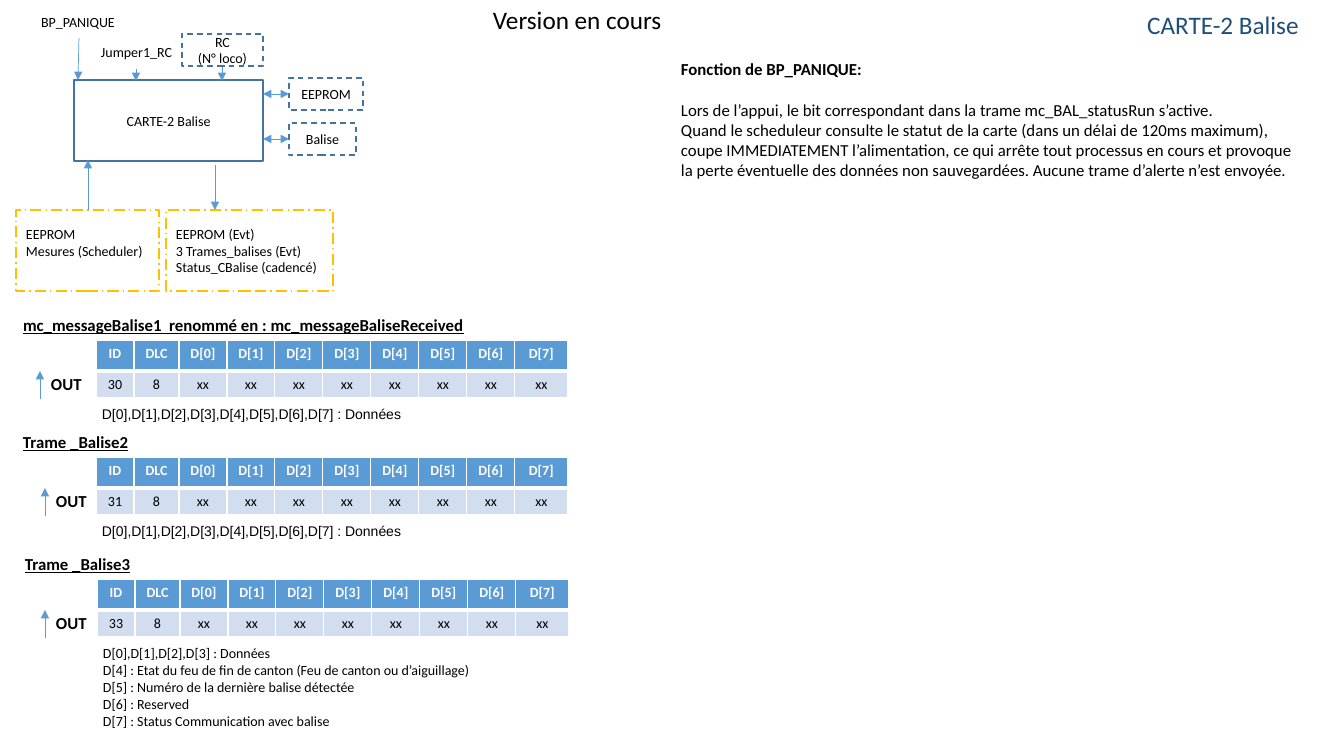
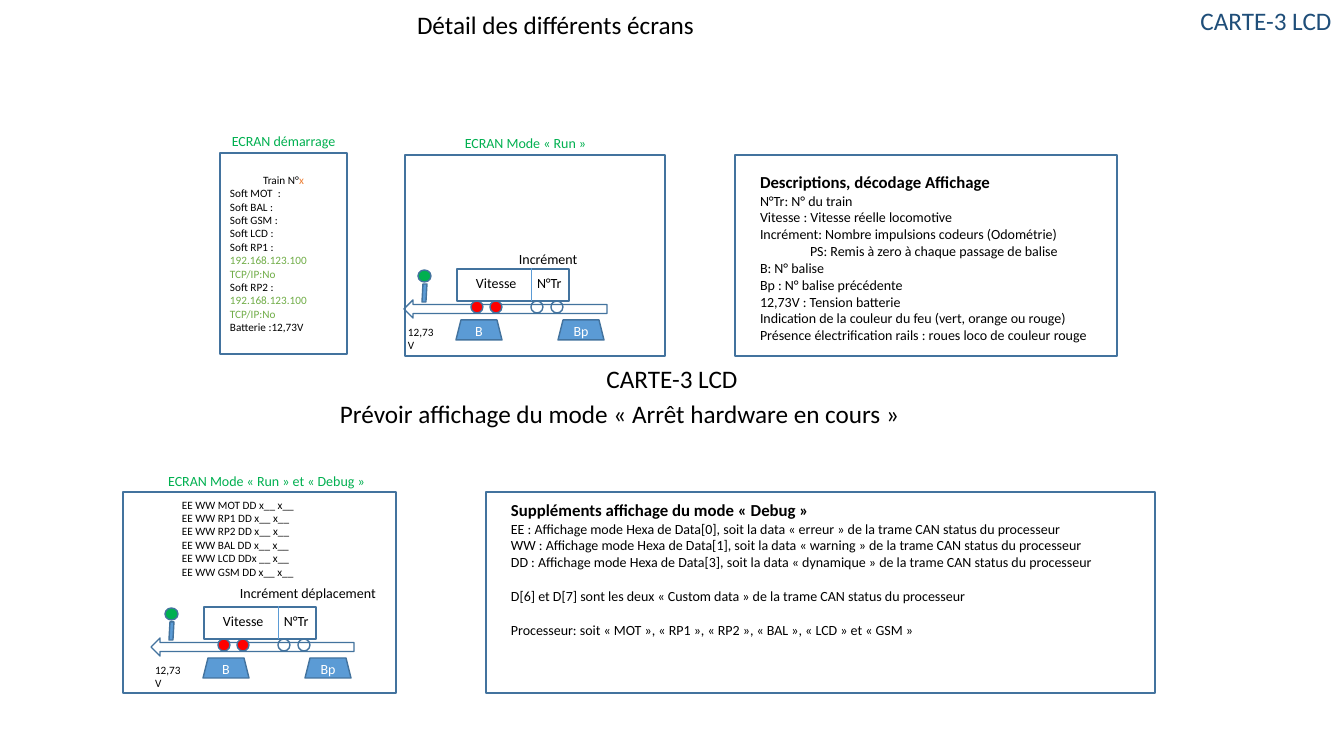
from lxml import etree
from pptx import Presentation
from pptx.dml.color import RGBColor
from pptx.enum.dml import MSO_LINE
from pptx.enum.shapes import MSO_CONNECTOR, MSO_SHAPE
from pptx.enum.text import MSO_ANCHOR, MSO_AUTO_SIZE, PP_ALIGN
from pptx.oxml.ns import qn
from pptx.util import Emu, Pt

PX = 914400 / 100.8
BLACK, WHITE, RED = "000000", "FFFFFF", "FF0000"
BLUE, EDGE, NAVY, PALE = "5B9BD5", "43739E", "1F4E79", "D2DEEF"
GREEN, LIME, AMBER, ORANGE = "00B050", "70AD47", "FFC000", "ED7D31"
LEFT, CENTER = PP_ALIGN.LEFT, PP_ALIGN.CENTER
SCREEN = MSO_SHAPE.FLOWCHART_PROCESS
COLUMNS = [38, 45] + [48] * 7 + [53]
HEADINGS = ["ID", "DLC"] + [f"D[{i}]" for i in range(8)]


def px(value):
    return Emu(round(value * PX))


def box_of(*lengths):
    return [px(v) for v in lengths]


def color(hex_string):
    return RGBColor.from_string(hex_string)


def add_run(paragraph, text, size, ink, bold, underline, font):
    run = paragraph.add_run()
    run.text = text
    run.font.name = font
    run.font.size = Pt(size)
    run.font.bold = bold
    run.font.underline = underline
    run.font.color.rgb = color(ink)


def write(frame, paragraphs, size=10, ink=BLACK, align=LEFT, bold=False,
          underline=False, font="Calibri"):
    for i, item in enumerate(paragraphs):
        text, own = (item, {}) if isinstance(item, str) else item
        paragraph = frame.paragraphs[0] if i == 0 else frame.add_paragraph()
        paragraph.alignment = own.get("align", align)
        paragraph.space_before = Pt(own.get("before", 0))
        if "indent" in own:
            paragraph._p.get_or_add_pPr().set("marL", str(px(own["indent"])))
        for part, tint in [(text, own.get("ink", ink))] + own.get("more", []):
            add_run(paragraph, part, own.get("size", size), tint,
                    own.get("bold", bold), underline, font)


def set_frame(frame, wrap, anchor, bottom=5):
    frame.word_wrap = wrap
    frame.auto_size = MSO_AUTO_SIZE.NONE if wrap else MSO_AUTO_SIZE.SHAPE_TO_FIT_TEXT
    frame.vertical_anchor = anchor
    frame.margin_left = frame.margin_right = px(10)
    frame.margin_top, frame.margin_bottom = px(5), px(bottom)


def label(slide, at, paragraphs, wrap=False, anchor=MSO_ANCHOR.TOP, **style):
    frame = slide.shapes.add_textbox(*box_of(*at)).text_frame
    set_frame(frame, wrap, anchor)
    write(frame, paragraphs, **style)


def caption(slide, at, text, ink=BLACK):
    label(slide, at, [text], True, MSO_ANCHOR.MIDDLE, align=CENTER, ink=ink)


def add_title(slide, at, text):
    title = slide.shapes.title
    title.left, title.top, title.width, title.height = box_of(*at)
    set_frame(title.text_frame, False, MSO_ANCHOR.TOP)
    write(title.text_frame, [text], size=18, ink=NAVY, align=CENTER)


def shape(slide, kind, at, paragraphs=(), fill=None, line=EDGE, dash=None,
          bottom=5, **style):
    item = slide.shapes.add_shape(kind, *box_of(*at))
    item.shadow.inherit = False
    if fill:
        item.fill.solid()
        item.fill.fore_color.rgb = color(fill)
    else:
        item.fill.background()
    item.line.color.rgb = color(line)
    item.line.width = Pt(1)
    if dash:
        item.line.dash_style = dash
    if paragraphs:
        set_frame(item.text_frame, True, MSO_ANCHOR.MIDDLE, bottom)
        write(item.text_frame, paragraphs, **style)
    return item


def connector(slide, points, ends=()):
    item = slide.shapes.add_connector(MSO_CONNECTOR.STRAIGHT, *box_of(*points))
    item.line.color.rgb = color(BLUE)
    item.line.width = Pt(0.5)
    line = item.line._get_or_add_ln()
    for end in ends:
        etree.SubElement(line, qn(f"a:{end}")).set("type", "triangle")
    etree.SubElement(item._element.spPr, qn("a:effectLst"))


def arrow(slide, *points):
    connector(slide, points, ["tailEnd"])


def cell_borders(cell, bottom):
    properties = cell._tc.get_or_add_tcPr()
    for side, width in (("L", 1), ("R", 1), ("T", 1), ("B", bottom)):
        line = etree.SubElement(properties, qn(f"a:ln{side}"))
        line.set("w", str(Pt(width)))
        solid = etree.SubElement(line, qn("a:solidFill"))
        etree.SubElement(solid, qn("a:srgbClr")).set("val", WHITE)


def message_table(slide, left, top, identifier):
    values = [HEADINGS, [identifier, "8"] + ["xx"] * 8]
    table = slide.shapes.add_table(2, len(COLUMNS), *box_of(left, top, sum(COLUMNS), 56)).table
    for column, width in zip(table.columns, COLUMNS):
        column.width = px(width)
    for r, height in enumerate((31, 25)):
        header = r == 0
        table.rows[r].height = px(height)
        for c, value in enumerate(values[r]):
            cell = table.cell(r, c)
            cell_borders(cell, 3 if header else 1)
            cell.fill.solid()
            cell.fill.fore_color.rgb = color(BLUE if header else PALE)
            write(cell.text_frame, [value], align=CENTER, bold=header,
                  ink=WHITE if header else BLACK)


def message(slide, name, name_x, name_width, identifier, left, top, arrow_x,
            notes, notes_width, font):
    label(slide, (name_x, top - 30, name_width, 30), [name],
          size=12, bold=True, underline=True)
    message_table(slide, left, top, identifier)
    label(slide, (left - 4, top + 61, notes_width, 10 + 17 * len(notes)), notes, font=font)
    arrow(slide, arrow_x, top + 59, arrow_x, top + 31)
    label(slide, (arrow_x + 1, top + 29, 51, 30), ["OUT"], size=12, bold=True)


def engine(slide, x, y):
    shape(slide, MSO_SHAPE.RIGHT_ARROW, (x, y, 203, 18), fill=WHITE).rotation = 180
    for dx, text in ((52, "B"), (154, "Bp")):
        shape(slide, MSO_SHAPE.TRAPEZOID, (x + dx, y + 20, 46, 20), [text],
              fill=BLUE, ink=WHITE, align=CENTER)
    for dx, fill in ((67, RED), (86, RED), (127, None), (147, None)):
        shape(slide, MSO_SHAPE.OVAL, (x + dx, y + 1, 12, 12), fill=fill)
    shape(slide, MSO_SHAPE.RECTANGLE, (x + 53, y - 31, 112, 32))
    connector(slide, (x + 127, y - 32, x + 127, y + 1))
    label(slide, (x + 62, y - 30, 61, 27), ["Vitesse"])
    label(slide, (x + 123, y - 30, 46, 27), ["N°Tr"])
    shape(slide, MSO_SHAPE.OVAL, (x + 14, y - 30, 13, 12), fill=GREEN)
    shape(slide, MSO_SHAPE.FLOWCHART_DATA, (x + 18, y - 16, 5, 18), fill=BLUE)
    label(slide, (x - 6, y + 20, 51, 24), ["12,73V"], True, size=8)


def board_slide(slide):
    add_title(slide, (1135, 4, 176, 40), "CARTE-2 Balise")
    label(slide, (483, -1, 227, 40), ["Version en cours"], True, size=18)

    rect = MSO_SHAPE.RECTANGLE
    shape(slide, rect, (74, 80, 189, 81), ["CARTE-2 Balise"], align=CENTER)
    for at, lines, bottom in (
            ((16, 210, 143, 81), ["EEPROM", "Mesures (Scheduler)"], 22),
            ((166, 210, 167, 81), ["EEPROM (Evt)", "3 Trames_balises (Evt)",
                                   "Status_CBalise (cadencé)"], 5)):
        shape(slide, rect, at, lines, line=AMBER, dash=MSO_LINE.LONG_DASH_DOT, bottom=bottom)
    for at, lines in (((289, 123, 67, 32), ["Balise"]),
                      ((289, 78, 74, 32), ["EEPROM"]),
                      ((182, 34, 81, 32), ["RC", "(N° loco)"])):
        shape(slide, rect, at, lines, dash=MSO_LINE.DASH, align=CENTER)
    caption(slide, (27, 6, 102, 32), "BP_PANIQUE")
    caption(slide, (88, 36, 97, 32), "Jumper1_RC")
    for points in ((88, 210, 88, 160), (215, 165, 215, 210), (79, 38, 78, 80),
                   (136, 69, 136, 81), (222, 67, 222, 81)):
        arrow(slide, *points)
    for y in (94, 139):
        connector(slide, (289, y, 263, y), ["headEnd", "tailEnd"])

    all_data = ["D[0],D[1],D[2],D[3],D[4],D[5],D[6],D[7] : Données"]
    details = ["D[0],D[1],D[2],D[3] : Données",
               "D[4] : Etat du feu de fin de canton (Feu de canton ou d’aiguillage)",
               "D[5] : Numéro de la dernière balise détectée",
               "D[6] : Reserved",
               "D[7] : Status Communication avec balise"]
    message(slide, "mc_messageBalise1  renommé en : mc_messageBaliseReceived", 13, 465,
            "30", 96, 340, 40, all_data, 322, "Arial")
    message(slide, "Trame _Balise2", 13, 127, "31", 96, 457, 45, all_data, 322, "Arial")
    message(slide, "Trame _Balise3", 15, 127, "33", 97, 579, 45, details, 394, "Calibri")

    label(slide, (671, 54, 632, 194), [
        ("Fonction de BP_PANIQUE:", {"bold": True}),
        ("Lors de l’appui, le bit correspondant dans la trame mc_BAL_statusRun s’active.",
         {"before": 14.6}),
        "Quand le scheduleur consulte le statut de la carte (dans un délai de 120ms maximum), "
        "coupe IMMEDIATEMENT l’alimentation, ce qui arrête tout processus en cours et provoque "
        "la perte éventuelle des données non sauvegardées. Aucune trame d’alerte n’est envoyée.",
    ], True, size=12)


def screens_slide(slide):
    add_title(slide, (1188, 0, 156, 40), "CARTE-3 LCD")
    label(slide, (407, 4, 311, 40), ["Détail des différents écrans"], True, size=18)
    label(slide, (594, 358, 156, 40), ["CARTE-3 LCD"], size=18, align=CENTER)
    label(slide, (330, 393, 644, 40),
          ["Prévoir affichage du mode «\u00a0Arrêt hardware en cours\u00a0»"], True, size=18)

    caption(slide, (201, 121, 165, 39), "ECRAN démarrage", GREEN)
    caption(slide, (406, 129, 239, 28), "ECRAN Mode «\u00a0Run\u00a0»", GREEN)
    caption(slide, (147, 467, 239, 28), "ECRAN Mode «\u00a0Run\u00a0» et «\u00a0Debug\u00a0»", GREEN)

    address = [(text, {"ink": LIME}) for text in ("192.168.123.100", "TCP/IP:No")]
    shape(slide, SCREEN, (220, 153, 127, 201), [
        ("Train N°", {"align": CENTER, "more": [("x", ORANGE)]}),
        "Soft MOT  :", "Soft BAL :", "Soft GSM :", "Soft LCD :",
        "Soft RP1 :", *address, "Soft RP2 :", *address, "Batterie :12,73V"], size=8)

    engine(slide, 404, 300)
    engine(slide, 151, 638)
    label(slide, (509, 246, 80, 27), ["Incrément"])
    label(slide, (230, 580, 160, 27), ["Incrément déplacement"], True)
    for at in ((405, 155, 260, 201), (735, 155, 382, 201),
               (123, 492, 273, 201), (486, 492, 669, 201)):
        shape(slide, SCREEN, at)

    heading = {"size": 12, "bold": True}
    label(slide, (750, 167, 373, 183), [
        ("Descriptions, décodage Affichage", heading),
        "N°Tr: N° du train",
        "Vitesse : Vitesse réelle locomotive",
        "Incrément: Nombre impulsions codeurs (Odométrie)",
        ("PS: Remis à zero à chaque passage de balise", {"indent": 50}),
        "B: N° balise",
        "Bp : N° balise précédente",
        "12,73V : Tension batterie",
        "Indication de la couleur du feu (vert, orange ou rouge)",
        "Présence électrification rails : roues loco de couleur rouge"], True)

    label(slide, (122, 493, 283, 92), [
        (f"EE WW {text}", {"indent": 50}) for text in (
            "MOT DD x__ x__", "RP1 DD x__ x__", "RP2 DD x__ x__",
            "BAL DD x__ x__", "LCD DDx __ x__", "GSM DD x__ x__")], True, size=8)

    status = "de la trame CAN status du processeur"
    label(slide, (501, 495, 736, 166), [
        ("Suppléments affichage du mode «\u00a0Debug\u00a0»", heading),
        *(f"{code} : Affichage mode Hexa de Data[{i}], soit la data «\u00a0{name}\u00a0» {status}"
          for code, i, name in (("EE", 0, "erreur"), ("WW", 1, "warning"), ("DD", 3, "dynamique"))),
        (f"D[6] et D[7] sont les deux «\u00a0Custom data\u00a0» {status}", {"before": 12.2}),
        ("Processeur: soit «\u00a0MOT\u00a0», «\u00a0RP1\u00a0», «\u00a0RP2\u00a0», "
         "«\u00a0BAL\u00a0», «\u00a0LCD\u00a0» et «\u00a0GSM\u00a0»", {"before": 12.2})], True)


def main():
    deck = Presentation()
    deck.slide_width, deck.slide_height = px(1344), px(756)
    title_only = deck.slide_layouts[5]
    for build in (board_slide, screens_slide):
        build(deck.slides.add_slide(title_only))
    deck.save("out.pptx")


main()
